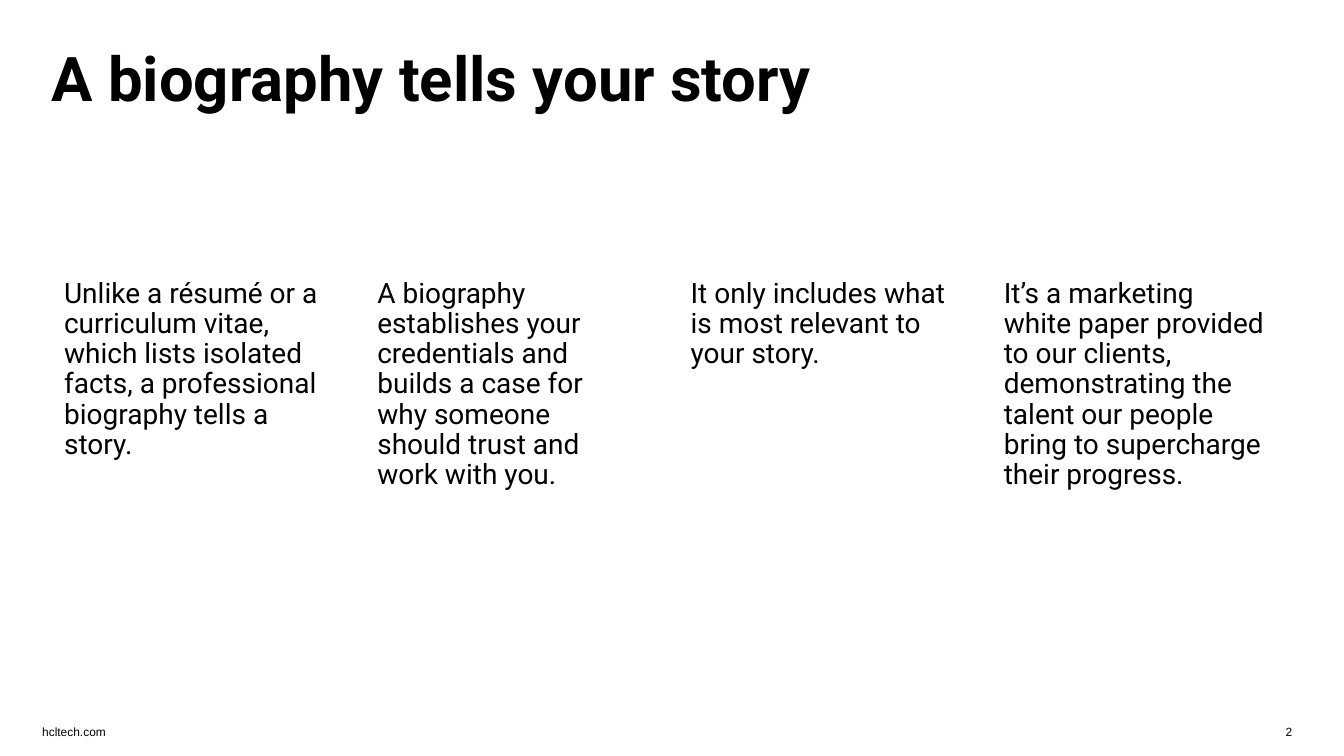
import dataclasses

import lxml.etree
import pptx
import pptx.dml.color
import pptx.enum.shapes
import pptx.enum.text
import pptx.oxml.ns
import pptx.util

Pt = pptx.util.Pt
RGB = pptx.dml.color.RGBColor
Align = pptx.enum.text.PP_ALIGN
Anchor = pptx.enum.text.MSO_ANCHOR


@dataclasses.dataclass(frozen=True)
class Theme:
    ink: RGB = RGB(0, 0, 0)
    paper: RGB = RGB(255, 255, 255)
    main_font: str = "Roboto"
    footer_font: str = "Arial"
    title_size: float = 44
    card_size: float = 20
    footer_size: float = 8.5
    card_opacity: int = 80


@dataclasses.dataclass(frozen=True)
class Box:
    left: float
    top: float
    width: float
    height: float

    def lengths(self):
        return [Pt(value) for value in (self.left, self.top, self.width, self.height)]


THEME = Theme()
HEADLINE = "A biography tells your story"
POINTS = (
    "Unlike a résumé or a curriculum vitae, which lists isolated facts, "
    "a professional biography tells a story.",
    "A biography establishes your credentials and builds a case for "
    "why someone should trust and work with you.",
    "It only includes what is most relevant to your story.",
    "It’s a marketing white paper provided to our clients, demonstrating "
    "the talent our people bring to supercharge their progress.",
)


def set_frame(frame, anchor, insets, wrap=True):
    frame.auto_size = pptx.enum.text.MSO_AUTO_SIZE.NONE
    frame.word_wrap = wrap
    frame.vertical_anchor = anchor
    (frame.margin_left, frame.margin_top,
     frame.margin_right, frame.margin_bottom) = [Pt(inset) for inset in insets]


def add_run(paragraph, words, font, size, bold=False, align=Align.LEFT):
    paragraph.alignment = align
    run = paragraph.add_run()
    run.text = words
    run.font.name = font
    run.font.size = Pt(size)
    run.font.bold = bold
    run.font.color.rgb = THEME.ink


def place_headline(slide, box):
    headline = slide.shapes.title
    headline.left, headline.top, headline.width, headline.height = box.lengths()
    set_frame(headline.text_frame, Anchor.MIDDLE, (0, 3.6, 7.2, 3.6))
    add_run(headline.text_frame.paragraphs[0], HEADLINE,
            THEME.main_font, THEME.title_size, bold=True)


def place_card(slide, box, point):
    card = slide.shapes.add_shape(
        pptx.enum.shapes.MSO_SHAPE.ROUNDED_RECTANGLE, *box.lengths())
    card.adjustments[0] = 0.02
    card.shadow.inherit = False
    card.line.fill.background()
    card.fill.solid()
    card.fill.fore_color.rgb = THEME.paper
    qn = pptx.oxml.ns.qn
    paper = card.fill._xPr.find(qn("a:solidFill")).find(qn("a:srgbClr"))
    lxml.etree.SubElement(paper, qn("a:alpha"), val=str(THEME.card_opacity * 1000))
    set_frame(card.text_frame, Anchor.TOP, (7.9, 39, 7.2, 7.2))
    paragraph = card.text_frame.paragraphs[0]
    paragraph.line_spacing = 0.9
    add_run(paragraph, point, THEME.main_font, THEME.card_size)


def place_cards(slide, box, gap=20):
    width = (box.width - gap * (len(POINTS) - 1)) / len(POINTS)
    for column, point in enumerate(POINTS):
        left = box.left + column * (width + gap)
        place_card(slide, Box(left, box.top, width, box.height), point)


def place_footer(slide, box):
    page_width = 42.5
    page_left = box.left + box.width - page_width
    address_box = Box(box.left, box.top, 92, box.height)
    page_box = Box(page_left, box.top, page_width, box.height)
    for words, area, inset, align, wrap in (
        ("hcltech.com", address_box, 0, Align.LEFT, False),
        ("2", page_box, 7.2, Align.RIGHT, True),
    ):
        note = slide.shapes.add_textbox(*area.lengths())
        set_frame(note.text_frame, Anchor.MIDDLE, (inset, 3.6, 7.2, 3.6), wrap)
        add_run(note.text_frame.paragraphs[0], words,
                THEME.footer_font, THEME.footer_size, align=align)


def main():
    deck = pptx.Presentation()
    deck.slide_width, deck.slide_height = Pt(960), Pt(540)
    slide = deck.slides.add_slide(deck.slide_layouts.get_by_name("Title Only"))
    slide.background.fill.solid()
    slide.background.fill.fore_color.rgb = THEME.paper
    place_footer(slide, Box(30.2, 510.5, 900, 23.8))
    place_headline(slide, Box(36.7, 36, 900, 37.4))
    place_cards(slide, Box(36.7, 159.1, 875, 267.1))
    deck.save("out.pptx")


if __name__ == "__main__":
    main()
